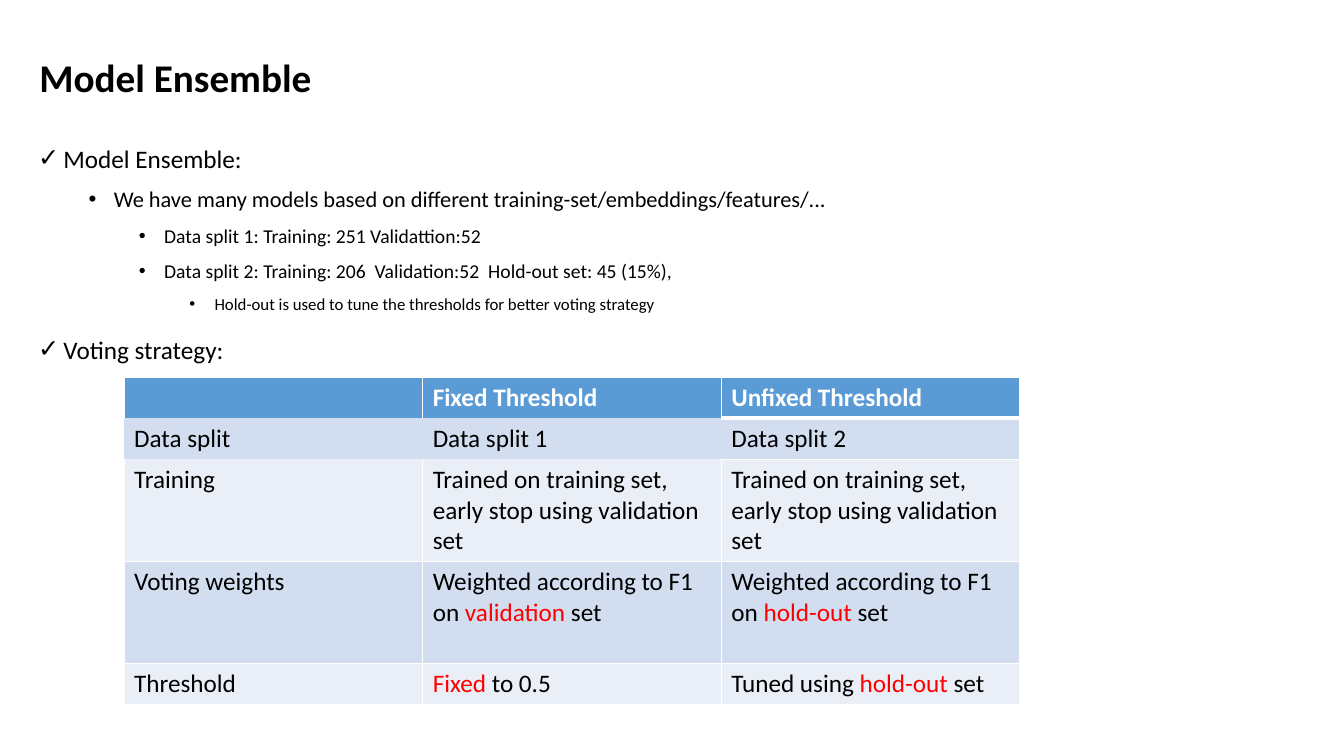
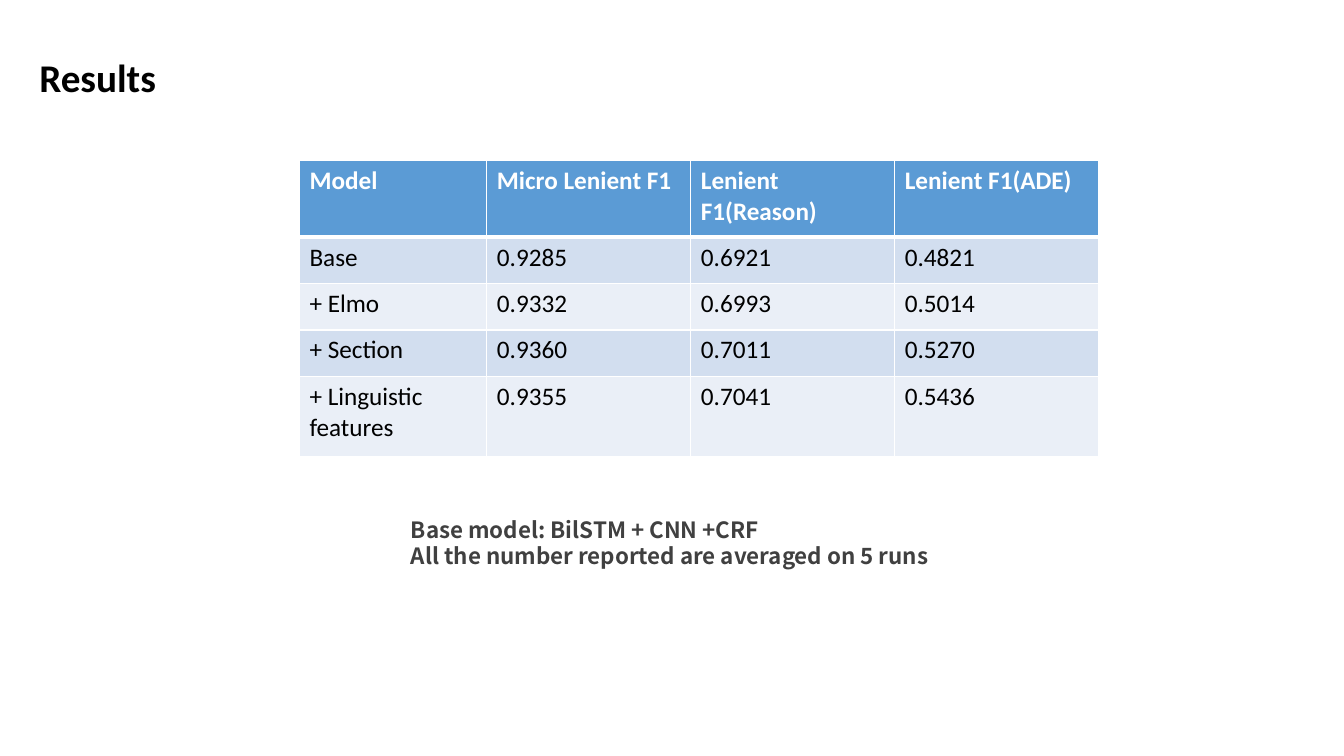
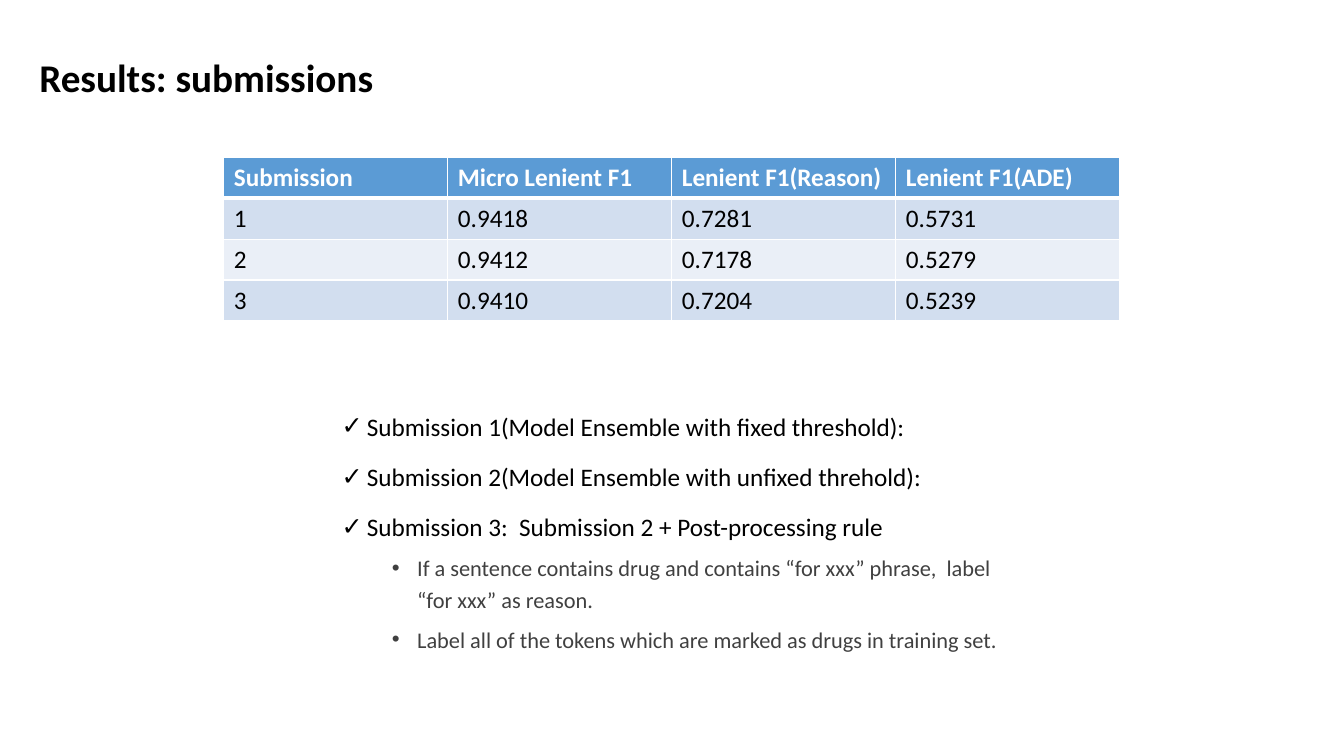
"""Build three slides on model ensembles and their results."""
from dataclasses import dataclass
from typing import Any

from lxml import etree
from pptx import Presentation
from pptx.dml.color import RGBColor
from pptx.enum.text import MSO_ANCHOR, PP_ALIGN
from pptx.oxml.ns import qn
from pptx.util import Pt

MIDDLE = MSO_ANCHOR.MIDDLE
LEFT = PP_ALIGN.LEFT
TITLE_ONLY = 5


@dataclass(frozen=True)
class Theme:
    """Colours, fonts and type sizes shared by the slides."""
    black: str = "000000"
    grey: str = "404040"
    white: str = "FFFFFF"
    red: str = "FF0000"
    header: str = "5B9BD5"
    bands: tuple[str, str] = ("D2DEEF", "EAEFF7")
    font: str = "Calibri"
    note_font: str = "Noto Sans CJK SC"
    title_size: float = 28
    table_size: float = 18
    note_size: float = 16
    level_sizes: tuple[float, ...] = (18, 16, 14, 12)
    rule: float = 1
    header_rule: float = 3


@dataclass(frozen=True)
class Box:
    """A rectangle in points."""
    left: float
    top: float
    width: float
    height: float

    def lengths(self) -> tuple[Pt, Pt, Pt, Pt]:
        """Return the four lengths in slide units."""
        return Pt(self.left), Pt(self.top), Pt(self.width), Pt(self.height)


@dataclass(frozen=True)
class Bullet:
    """One list item."""
    text: str
    level: int = 0
    color: str = "000000"


@dataclass(frozen=True)
class Grid:
    """A table whose first row is a header; *stars* mark highlighted words."""
    left: float
    top: float
    widths: list[float]
    heights: list[float]
    rows: list[list[str]]
    unruled: frozenset[tuple[int, int]] = frozenset()


THEME = Theme()
TITLE_BOX = Box(20.9, 36, 828, 42.5)
LIST_STEP = 36
LIST_HANG = 18
SIDES = {"L": (0, -1), "R": (0, 1), "T": (-1, 0), "B": (1, 0)}


def apply(target: Any, values: dict[str, Any]) -> None:
    """Set every named attribute on the target."""
    for name, value in values.items():
        setattr(target, name, value)


def add_run(p: Any, text: str, size: float, color: str,
            bold: bool = False, font: str = THEME.font) -> None:
    """Append a formatted run to a paragraph."""
    r = p.add_run()
    r.text = text
    apply(r.font, {"name": font, "size": Pt(size), "bold": bold})
    r.font.color.rgb = RGBColor.from_string(color)


def add_slide(prs: Any, title: str) -> Any:
    """Add a title-only slide with the shared title style."""
    s = prs.slides.add_slide(prs.slide_layouts[TITLE_ONLY])
    sp = s.shapes.title
    apply(sp, dict(zip(("left", "top", "width", "height"), TITLE_BOX.lengths())))
    apply(sp.text_frame, {"vertical_anchor": MIDDLE, "word_wrap": True})
    p = sp.text_frame.paragraphs[0]
    apply(p, {"alignment": LEFT, "line_spacing": 0.9})
    add_run(p, title, THEME.title_size, THEME.black, bold=True)
    return s


def add_text(s: Any, box: Box, count: int, wrap: bool = True) -> list[Any]:
    """Add a text box and return its paragraphs."""
    tf = s.shapes.add_textbox(*box.lengths()).text_frame
    tf.word_wrap = wrap
    for _ in range(count - 1):
        tf.add_paragraph()
    return list(tf.paragraphs)


def add_list(s: Any, box: Box, bullets: list[Bullet]) -> None:
    """Add a list with check marks at the top level and dots below."""
    for p, bullet in zip(add_text(s, box, len(bullets)), bullets):
        top_level = bullet.level == 0
        apply(p, {"level": bullet.level, "line_spacing": 1.2,
                  "space_before": Pt(10 if top_level else 5)})
        ppr = p._p.get_or_add_pPr()
        ppr.set("marL", str(Pt(LIST_HANG + LIST_STEP * bullet.level)))
        ppr.set("indent", str(-Pt(LIST_HANG)))
        etree.SubElement(ppr, qn("a:buFont"), typeface="Arial")
        etree.SubElement(ppr, qn("a:buChar"), char="✓" if top_level else "•")
        add_run(p, bullet.text, THEME.level_sizes[bullet.level], bullet.color)


def add_note(s: Any, box: Box, lines: list[str]) -> None:
    """Add bold grey lines that do not wrap."""
    for p, line in zip(add_text(s, box, len(lines), wrap=False), lines):
        p.line_spacing = Pt(18.6)
        add_run(p, line, THEME.note_size, THEME.grey, True, THEME.note_font)


def rule_cell(cell: Any, row: int, col: int, unruled: frozenset[tuple[int, int]]) -> None:
    """Draw the white rules of a cell, heavier below the header."""
    tcpr = cell._tc.get_or_add_tcPr()
    for side, (down, across) in SIDES.items():
        neighbour = (row + down, col + across)
        below_header = {row, neighbour[0]} == {0, 1}
        width = THEME.header_rule if below_header else THEME.rule
        ln = etree.SubElement(tcpr, qn(f"a:ln{side}"), w=str(Pt(width)))
        if unruled & {(row, col), neighbour}:
            etree.SubElement(ln, qn("a:noFill"))
        else:
            fill = etree.SubElement(ln, qn("a:solidFill"))
            etree.SubElement(fill, qn("a:srgbClr"), val=THEME.white)


def add_grid(s: Any, grid: Grid) -> None:
    """Add a banded table."""
    box = Box(grid.left, grid.top, sum(grid.widths), sum(grid.heights))
    table = s.shapes.add_table(len(grid.heights), len(grid.widths), *box.lengths()).table
    for column, width in zip(table.columns, grid.widths):
        column.width = Pt(width)
    for table_row, height in zip(table.rows, grid.heights):
        table_row.height = Pt(height)
    for row, texts in enumerate(grid.rows):
        header = row == 0
        color = THEME.white if header else THEME.black
        fill = THEME.header if header else THEME.bands[(row - 1) % 2]
        for col, text in enumerate(texts):
            cell = table.cell(row, col)
            rule_cell(cell, row, col, grid.unruled)
            cell.fill.solid()
            cell.fill.fore_color.rgb = RGBColor.from_string(fill)
            p = cell.text_frame.paragraphs[0]
            for i, part in enumerate(text.split("*")):
                if part:
                    add_run(p, part, THEME.table_size, THEME.red if i % 2 else color, header)


def ensemble_slide(prs: Any) -> None:
    """Show the data splits and the voting strategies."""
    s = add_slide(prs, "Model Ensemble")
    add_list(s, Box(20.2, 94.3, 918.7, 425.5), [
        Bullet("Model Ensemble:"),
        Bullet("We have many models based on different training-set/embeddings/features/...", 1),
        Bullet("Data split 1: Training: 251 Validattion:52", 2),
        Bullet("Data split 2: Training:\u00a0206  Validation:52  Hold-out set: 45 (15%),", 2),
        Bullet("Hold-out is used to tune the thresholds for better voting strategy", 3),
        Bullet("Voting strategy:"),
    ])
    training = "Trained on training set, early stop using validation set"
    weights = "Weighted according to F1 on *{}* set"
    add_grid(s, Grid(88.6, 269.6, [213.33] * 3, [29.2, 29.2, 73, 73, 29.2], [
        ["", "Fixed Threshold", "Unfixed Threshold"],
        ["Data split", "Data split 1", "Data split 2"],
        ["Training", training, training],
        ["Voting weights", weights.format("validation"), weights.format("hold-out")],
        ["Threshold", "*Fixed *to 0.5", "Tuned using *hold-out* set"],
    ], frozenset({(1, 0), (1, 1)})))


def results_slide(prs: Any) -> None:
    """Compare the base model with its added features."""
    s = add_slide(prs, "Results")
    add_grid(s, Grid(213.9, 114.7, [133.9] + [145.7] * 3, [54.6] + [33.2] * 3 + [57], [
        ["Model", "Micro Lenient F1", "Lenient F1(Reason)", "Lenient F1(ADE)"],
        ["Base", "0.9285", "0.6921", "0.4821"],
        ["+ Elmo", "0.9332", "0.6993", "0.5014"],
        ["+ Section", "0.9360", "0.7011", "0.5270"],
        ["+ Linguistic features", "0.9355", "0.7041", "0.5436"],
    ]))
    add_note(s, Box(286.5, 365.8, 404, 46), [
        "Base model: BilSTM + CNN +CRF",
        "All the number reported are averaged on 5 runs",
    ])


def submissions_slide(prs: Any) -> None:
    """Compare the three submissions."""
    s = add_slide(prs, "Results: submissions")
    add_list(s, Box(236.9, 285.8, 486, 234.8), [
        Bullet("Submission 1(Model Ensemble with fixed threshold):"),
        Bullet("Submission 2(Model Ensemble with unfixed threhold):"),
        Bullet("Submission 3:  Submission 2 + Post-processing rule"),
        Bullet("If a sentence contains drug and contains “for xxx” phrase,\u00a0 label "
               "“for xxx” as reason.", 1, THEME.grey),
        Bullet("Label all of the tokens which are marked as drugs in training set.",
               1, THEME.grey),
    ])
    add_grid(s, Grid(159.9, 112.4, [160] * 4, [29.2] * 4, [
        ["Submission", "Micro Lenient F1", "Lenient F1(Reason)", "Lenient F1(ADE)"],
        ["1", "0.9418", "0.7281", "0.5731"],
        ["2", "0.9412", "0.7178", "0.5279"],
        ["3", "0.9410", "0.7204", "0.5239"],
    ]))


def main() -> None:
    """Build and save the presentation."""
    prs = Presentation()
    apply(prs, {"slide_width": Pt(960), "slide_height": Pt(540)})
    for build in (ensemble_slide, results_slide, submissions_slide):
        build(prs)
    prs.save("out.pptx")


main()
